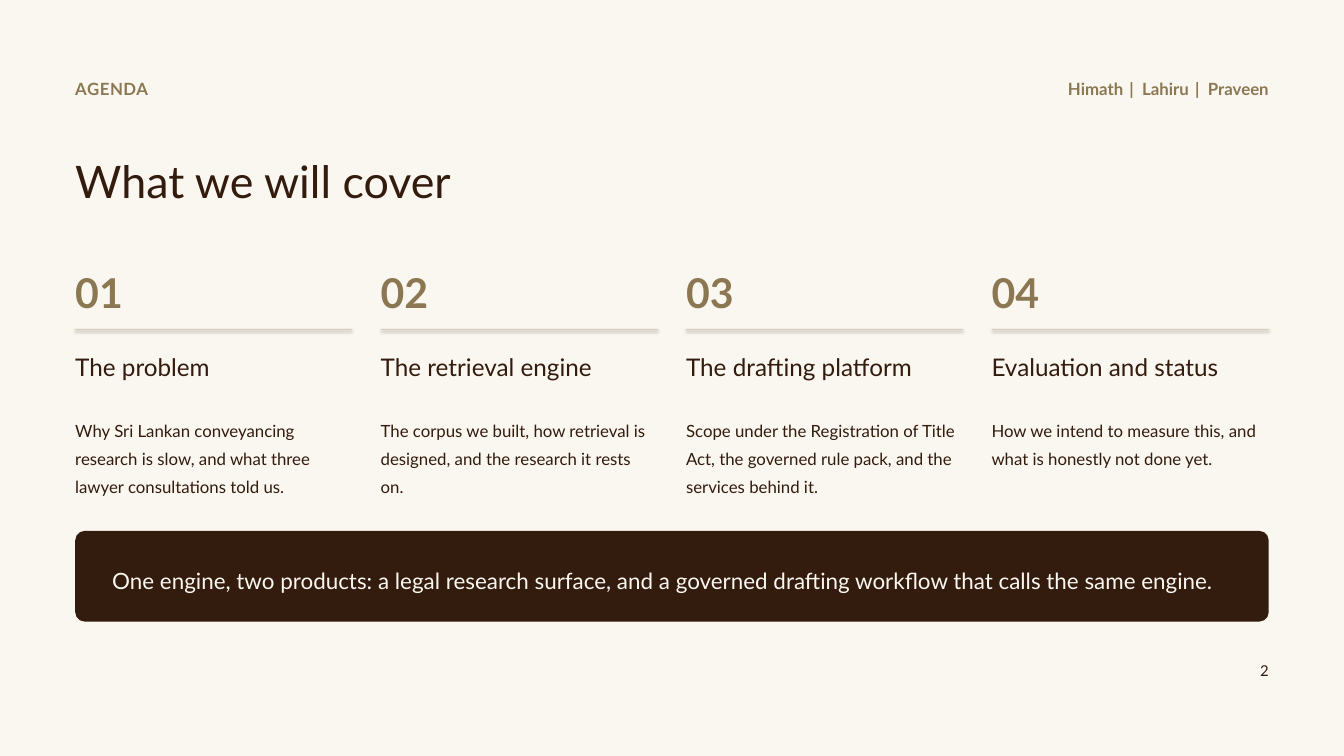
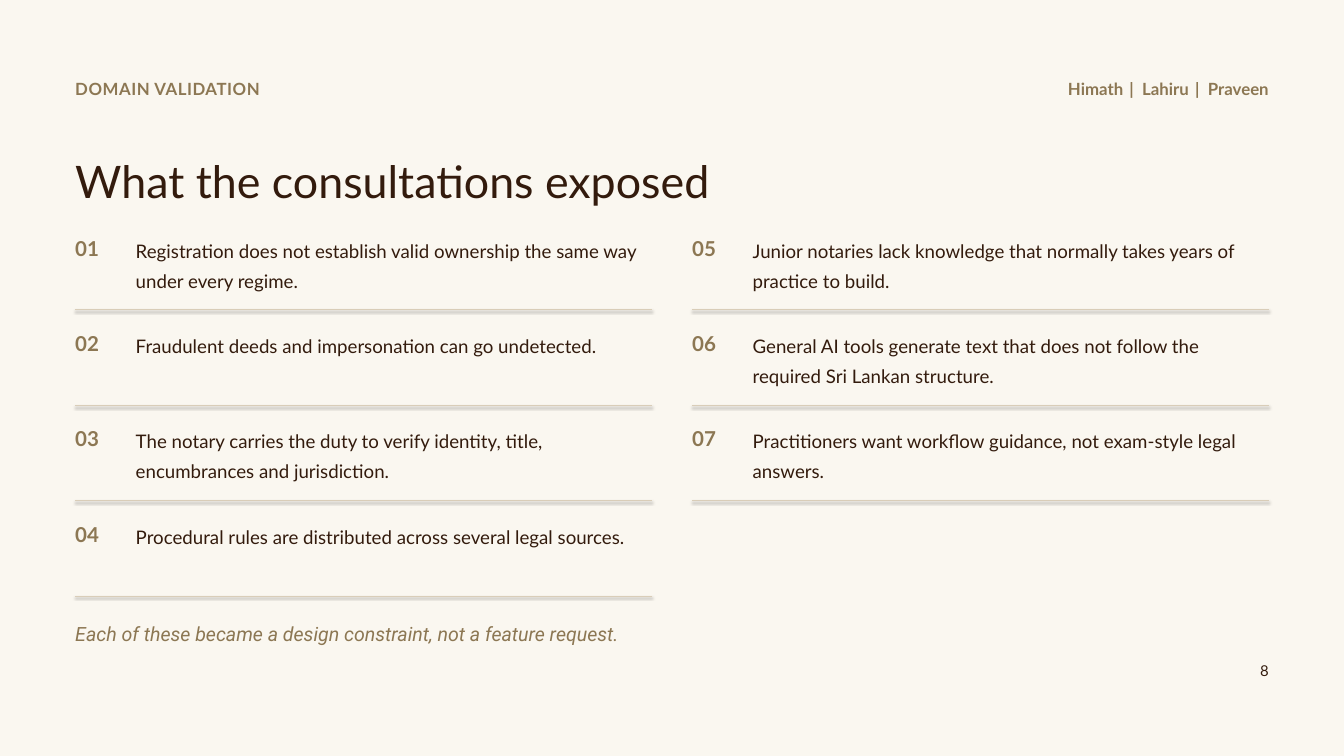
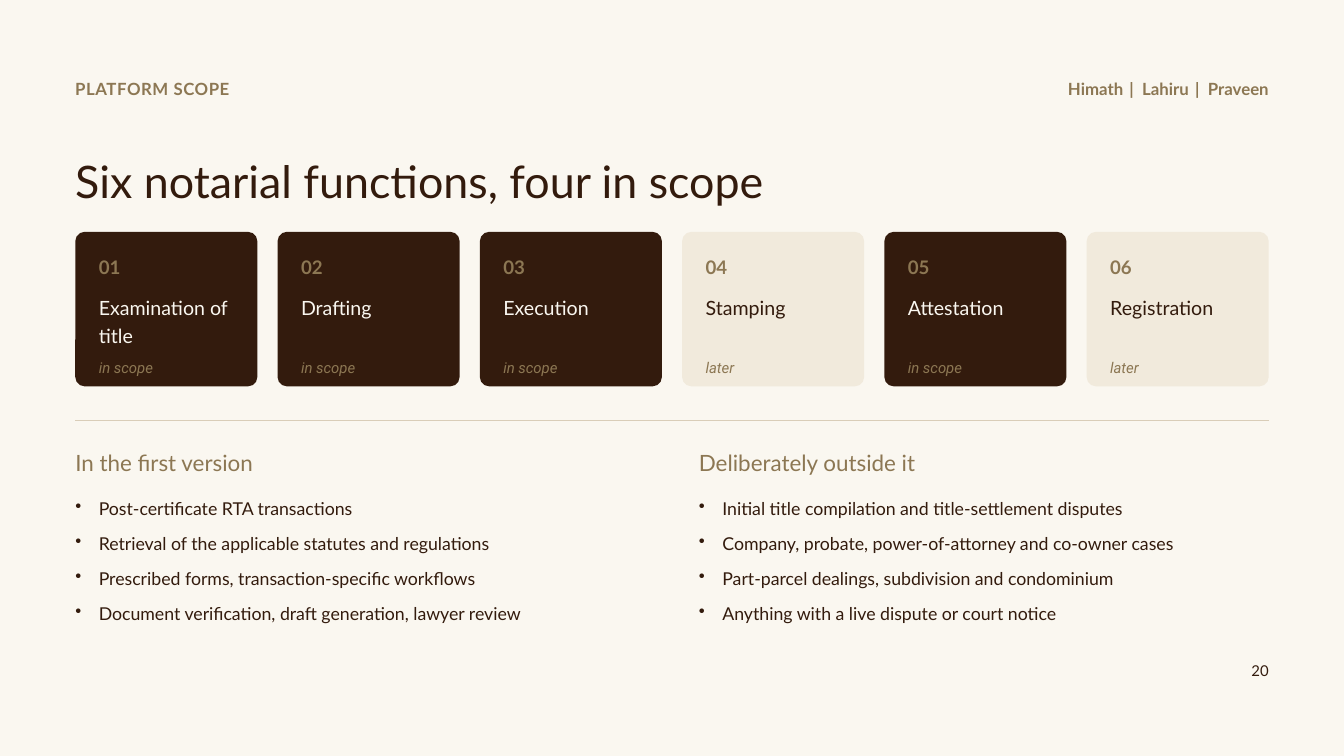
from dataclasses import dataclass, replace
from typing import NamedTuple

from lxml.etree import SubElement
from pptx import Presentation
from pptx.dml.color import RGBColor as Rgb
from pptx.enum.shapes import MSO_CONNECTOR as Link, MSO_SHAPE as Shape
from pptx.enum.text import MSO_ANCHOR as Anchor, MSO_AUTO_SIZE as Fit, PP_ALIGN as Align
from pptx.oxml.ns import qn
from pptx.util import Inches, Pt


class Box(NamedTuple):
    """A rectangle in inches."""

    x: float
    y: float
    w: float
    h: float

    def inner(self, dx, dy, w, h):
        """Return a rectangle offset from this one's corner."""
        return Box(self.x + dx, self.y + dy, w, h)

    def cols(self, count, gap):
        """Split the rectangle into equal columns."""
        wide = (self.w - gap * (count - 1)) / count
        return [self.inner(i * (wide + gap), 0, wide, self.h) for i in range(count)]

    def emu(self):
        """Return the four lengths for python-pptx."""
        return [Inches(side) for side in self]


@dataclass(frozen=True)
class Look:
    """The look of one kind of text."""

    size: float
    color: str
    lead: float
    bold: bool = False
    italic: bool = False
    font: str = "Lato"
    track: float = 0


class Theme:
    """Colours and type shared by all slides."""

    paper, ink, gold, rule, sand = "FAF7F0", "331B0D", "8C7753", "D9CDB8", "F1EADC"
    kicker = Look(18, gold, 1.05, bold=True, track=0.6)
    credit = replace(kicker, track=0)
    divider = replace(kicker, track=2.3)
    folio = Look(16, ink, 1.05)
    title = Look(48, ink, 1.14)
    big = Look(44, gold, 1.05, bold=True)
    topic = Look(26, ink, 1.22)
    blurb = Look(18, ink, 1.38)
    banner = Look(24, paper, 1.3)
    index = Look(22, gold, 1.15, bold=True)
    finding = Look(20, ink, 1.34)
    remark = Look(21, gold, 1.3, italic=True, font="Roboto")
    step = Look(20, gold, 1.1, bold=True)
    duty = Look(21, ink, 1.22)
    state = Look(16, gold, 1.2, italic=True, font="Roboto")
    head = Look(24, gold, 1.2)
    item = Look(19, ink, 1.34)


BODY = Box(1.12, 3.45, 17.76, 6.14)
TEAM = ["Himath", "Lahiru", "Praveen"]

TOPICS = [
    ("The problem", "Why Sri Lankan conveyancing research is slow, and what three lawyer consultations told us."),
    ("The retrieval engine", "The corpus we built, how retrieval is designed, and the research it rests on."),
    ("The drafting platform", "Scope under the Registration of Title Act, the governed rule pack, and the services behind it."),
    ("Evaluation and status", "How we intend to measure this, and what is honestly not done yet."),
]
CLAIM = "One engine, two products: a legal research surface, and a governed drafting workflow that calls the same engine."
FINDINGS = [
    "Registration does not establish valid ownership the same way under every regime.",
    "Fraudulent deeds and impersonation can go undetected.",
    "The notary carries the duty to verify identity, title, encumbrances and jurisdiction.",
    "Procedural rules are distributed across several legal sources.",
    "Junior notaries lack knowledge that normally takes years of practice to build.",
    "General AI tools generate text that does not follow the required Sri Lankan structure.",
    "Practitioners want workflow guidance, not exam-style legal answers.",
]
REMARK = "Each of these became a design constraint, not a feature request."
DUTIES = [
    ("Examination of title", True),
    ("Drafting", True),
    ("Execution", True),
    ("Stamping", False),
    ("Attestation", True),
    ("Registration", False),
]
SCOPES = [
    ("In the first version", [
        "Post-certificate RTA transactions",
        "Retrieval of the applicable statutes and regulations",
        "Prescribed forms, transaction-specific workflows",
        "Document verification, draft generation, lawyer review",
    ]),
    ("Deliberately outside it", [
        "Initial title compilation and title-settlement disputes",
        "Company, probate, power-of-attorney and co-owner cases",
        "Part-parcel dealings, subdivision and condominium",
        "Anything with a live dispute or court notice",
    ]),
]


def style(run, look):
    """Format one run."""
    font = run.font
    font.name, font.size = look.font, Pt(look.size)
    font.bold, font.italic = look.bold, look.italic
    font.color.rgb = Rgb.from_string(look.color)
    if look.track:
        run._r.get_or_add_rPr().set("spc", str(round(look.track * 100)))


def write(slide, box, text, look, align=Align.LEFT, anchor=Anchor.TOP):
    """Place text in a box without margins and return its frame."""
    frame = slide.shapes.add_textbox(*box.emu()).text_frame
    frame.word_wrap = True
    frame.auto_size = Fit.SHAPE_TO_FIT_TEXT
    frame.vertical_anchor = anchor
    frame.margin_left = frame.margin_top = frame.margin_right = frame.margin_bottom = 0
    frame.text = text
    for para in frame.paragraphs:
        para.alignment, para.line_spacing = align, look.lead
        for run in para.runs:
            style(run, look)
    return frame


def rule(slide, box, dy, width=1):
    """Draw a line across the box, dy below its top."""
    left, right, top = Inches(box.x), Inches(box.x + box.w), Inches(box.y + dy)
    line = slide.shapes.add_connector(Link.STRAIGHT, left, top, right, top).line
    line.color.rgb = Rgb.from_string(Theme.rule)
    line.width = Pt(width)


def panel(slide, box, fill):
    """Draw a filled panel with a fixed corner radius."""
    shape = slide.shapes.add_shape(Shape.ROUNDED_RECTANGLE, *box.emu())
    shape.shadow.inherit = False
    shape.adjustments[0] = 0.14 / min(box.w, box.h)
    shape.fill.solid()
    shape.fill.fore_color.rgb = Rgb.from_string(fill)
    shape.line.fill.background()


def credit(slide, box):
    """Write the team names with spaced dividers."""
    para = write(slide, box, "", Theme.credit, Align.RIGHT).paragraphs[0]
    for i, name in enumerate(TEAM):
        lead = [(" | ", Theme.divider)] if i else []
        for text, look in lead + [(name, Theme.credit)]:
            run = para.add_run()
            run.text = text
            style(run, look)


def frame(deck, kicker, title, page):
    """Add a slide with its background, header, title and folio."""
    slide = deck.slides.add_slide(deck.slide_layouts[6])
    slide.background.fill.solid()
    slide.background.fill.fore_color.rgb = Rgb.from_string(Theme.paper)
    top = Box(BODY.x, 1.16, BODY.w, 0.32)
    write(slide, top.inner(0, 0, 9, 0.32), kicker, Theme.kicker)
    credit(slide, top.inner(top.w - 5, 0, 5, 0.32))
    write(slide, top.inner(top.w - 5, 8.67, 5, 0.29), str(page), Theme.folio, Align.RIGHT)
    write(slide, top.inner(0, 1.02, 15.5, 0.82), title, Theme.title)
    return slide


def topic(slide, box, num, name, blurb):
    """Place one agenda column."""
    write(slide, box.inner(0, 0, box.w, 0.7), f"{num:02}", Theme.big)
    rule(slide, box, 0.95, 1.2)
    write(slide, box.inner(0, 1.2, box.w, 0.5), name, Theme.topic)
    write(slide, box.inner(0, 2.2, box.w, 1.09), blurb, Theme.blurb)


def finding(slide, box, num, text):
    """Place one numbered finding over its rule."""
    write(slide, box.inner(0, 0, 0.8, 0.41), f"{num:02}", Theme.index)
    write(slide, box.inner(0.9, 0, box.w - 0.9, 0.8), text, Theme.finding)
    rule(slide, box, 1.16)


def duty(slide, box, num, name, live):
    """Place one notarial function card."""
    panel(slide, box, Theme.ink if live else Theme.sand)
    look = replace(Theme.duty, color=Theme.paper if live else Theme.ink)
    wide = box.w - 0.7
    write(slide, box.inner(0.35, 0.33, wide, 0.37), f"{num:02}", Theme.step)
    write(slide, box.inner(0.35, 0.87, wide, 0.42), name, look)
    write(slide, box.inner(0.35, 1.83, wide, 0.33), "in scope" if live else "later", Theme.state)


def scope(slide, box, head, items):
    """Place a heading and its bulleted list."""
    write(slide, box.inner(0, 0, box.w, 0.46), head, Theme.head)
    body = write(slide, box.inner(0, 0.7, box.w, 1.77), "\n".join(items), Theme.item)
    for i, para in enumerate(body.paragraphs):
        if i:
            para.space_before = Pt(7)
        props = para._p.get_or_add_pPr()
        props.set("marL", str(Inches(0.35)))
        props.set("indent", str(-Inches(0.35)))
        SubElement(props, qn("a:buChar")).set("char", "•")


def agenda(deck):
    """Build the agenda slide."""
    slide = frame(deck, "AGENDA", "What we will cover", 2)
    area = BODY.inner(0, 0.5, BODY.w, 3.3)
    for num, (box, entry) in enumerate(zip(area.cols(4, 0.42), TOPICS), 1):
        topic(slide, box, num, *entry)
    band = BODY.inner(0, 4.45, BODY.w, 1.35)
    panel(slide, band, Theme.ink)
    write(slide, band.inner(0.55, 0, band.w - 1.1, band.h), CLAIM, Theme.banner, anchor=Anchor.MIDDLE)


def review(deck):
    """Build the findings slide."""
    slide = frame(deck, "DOMAIN VALIDATION", "What the consultations exposed", 8)
    cols = BODY.cols(2, 0.6)
    for i, text in enumerate(FINDINGS):
        col, row = divmod(i, 4)
        box = cols[col]
        finding(slide, box.inner(0, row * 1.42, box.w, 1.16), i + 1, text)
    write(slide, BODY.inner(0, 5.7, BODY.w, 0.44), REMARK, Theme.remark)


def limits(deck):
    """Build the scope slide."""
    slide = frame(deck, "PLATFORM SCOPE", "Six notarial functions, four in scope", 20)
    cards = BODY.inner(0, 0, BODY.w, 2.3)
    for num, (box, entry) in enumerate(zip(cards.cols(6, 0.3), DUTIES), 1):
        duty(slide, box, num, *entry)
    rule(slide, BODY, 2.8)
    lists = BODY.inner(0, 3.15, BODY.w, 2.47)
    for box, entry in zip(lists.cols(2, 0.8), SCOPES):
        scope(slide, box, *entry)


def main():
    """Build and save the deck."""
    deck = Presentation()
    deck.slide_width, deck.slide_height = Inches(20), Inches(11.25)
    for build in (agenda, review, limits):
        build(deck)
    deck.save("out.pptx")


if __name__ == "__main__":
    main()
